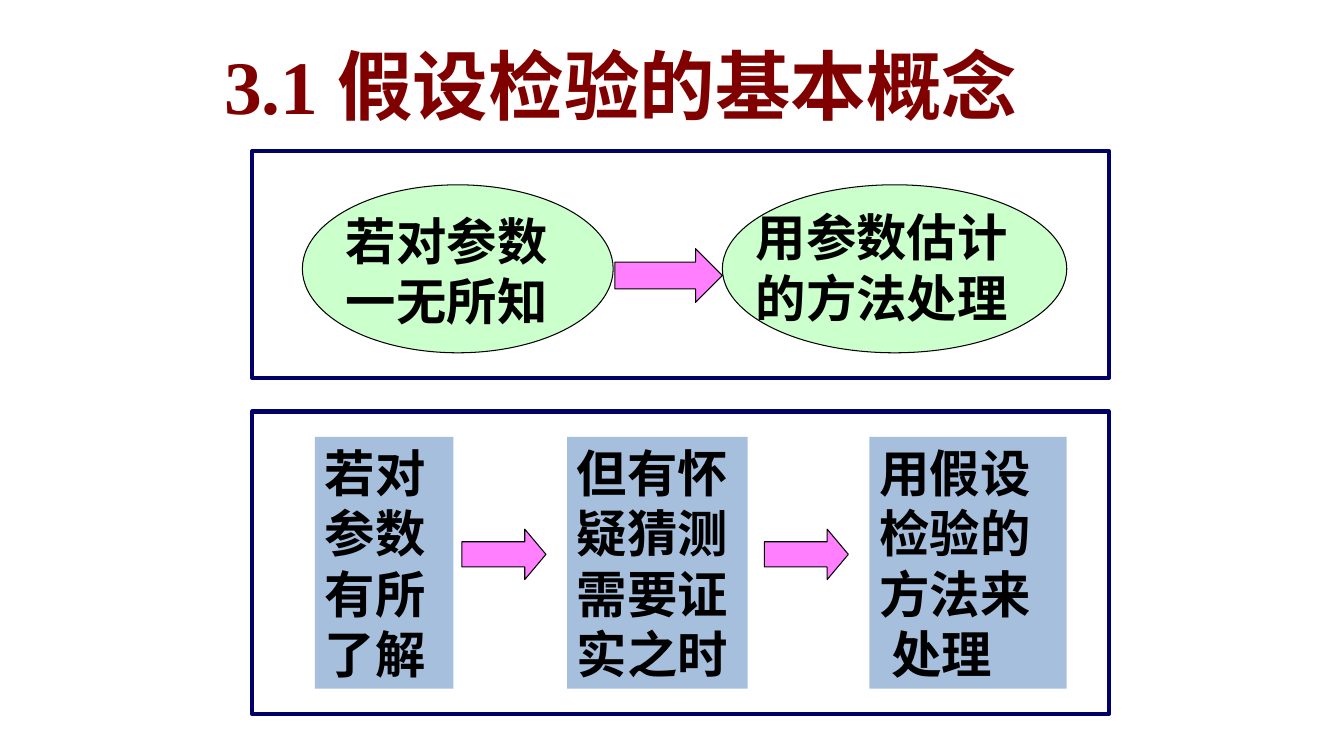
from typing import NamedTuple, Optional

from pptx import Presentation
from pptx import util as u
from pptx.dml.color import RGBColor
from pptx.enum import shapes, text
from pptx.oxml.ns import qn

# Slide size and a grid of 160 columns by 90 rows
WIDTH, HEIGHT = u.Inches(13.34), u.Inches(7.5)
COLUMN, ROW = WIDTH / 160, HEIGHT / 90

CJK_FONT, LATIN_FONT = "Noto Sans CJK SC", "Times New Roman"
BLACK, MAROON, NAVY = "000000", "800000", "000066"
GREEN, BLUE, PINK = "99FF99", "4F81BD", "FF00FF"
KIND = shapes.MSO_SHAPE


class Area(NamedTuple):
    column: float
    row: float
    columns: float
    rows: float

    def emu(self) -> list[int]:
        return [round(self.column * COLUMN), round(self.row * ROW),
                round(self.columns * COLUMN), round(self.rows * ROW)]


class Idea(NamedTuple):
    outline: Area
    words: Area
    lines: list[str]


class Step(NamedTuple):
    area: Area
    lines: list[str]


class Arrow(NamedTuple):
    area: Area
    head: float


def colour(value: str) -> RGBColor:
    return RGBColor.from_string(value)


def draw_shape(slide, kind, area: Area, fill: Optional[str] = None,
               line: Optional[str] = None, line_width: float = 0.75):
    shape = slide.shapes.add_shape(kind, *area.emu())
    shape.shadow.inherit = False
    if fill:
        shape.fill.solid()
        shape.fill.fore_color.rgb = colour(fill)
        # Half transparent
        tint = shape.fill._xPr.find(qn("a:solidFill"))[0]
        tint.append(tint.makeelement(qn("a:alpha"), {"val": "50000"}))
    else:
        shape.fill.background()
    if line:
        shape.line.color.rgb = colour(line)
        shape.line.width = u.Pt(line_width)
    else:
        shape.line.fill.background()
    return shape


def style_run(run, size: float, font: str, value: str) -> None:
    run.font.size = u.Pt(size)
    run.font.bold = True
    run.font.name = font
    run.font.color.rgb = colour(value)
    properties = run.font._element
    east_asian = properties.makeelement(qn("a:ea"), {"typeface": CJK_FONT})
    properties.find(qn("a:latin")).addnext(east_asian)


def prepare_frame(frame) -> None:
    frame.word_wrap = True
    frame.vertical_anchor = text.MSO_ANCHOR.TOP
    frame.margin_left = frame.margin_right = u.Inches(0.1)
    frame.margin_top = frame.margin_bottom = u.Inches(0.05)


def write_lines(frame, lines: list[str], size: float = 36) -> None:
    prepare_frame(frame)
    frame.text = "\n".join(lines)
    for paragraph in frame.paragraphs:
        paragraph.alignment = text.PP_ALIGN.LEFT
        paragraph.line_spacing = u.Pt(size * 1.2)
        for run in paragraph.runs:
            style_run(run, size, CJK_FONT, BLACK)


def draw_title(slide, area: Area, number: str, heading: str, size: float = 54) -> None:
    frame = slide.shapes.add_textbox(*area.emu()).text_frame
    prepare_frame(frame)
    paragraph = frame.paragraphs[0]
    paragraph.line_spacing = u.Pt(size * 1.2)
    for words, font in ((number, LATIN_FONT), (heading, CJK_FONT)):
        run = paragraph.add_run()
        run.text = words
        style_run(run, size, font, MAROON)


def draw_arrow(slide, arrow: Arrow) -> None:
    shape = draw_shape(slide, KIND.RIGHT_ARROW, arrow.area, PINK, BLACK)
    shape.adjustments[0] = 0.5
    shape.adjustments[1] = arrow.head


def draw_idea(slide, idea: Idea) -> None:
    draw_shape(slide, KIND.OVAL, idea.outline, GREEN, BLACK)
    words = slide.shapes.add_textbox(*idea.words.emu())
    write_lines(words.text_frame, idea.lines)


def draw_step(slide, step: Step):
    shape = draw_shape(slide, KIND.RECTANGLE, step.area, BLUE)
    write_lines(shape.text_frame, step.lines)
    return shape


FRAMES = [Area(30, 18, 102, 27), Area(30, 49, 102, 36)]
ARROWS = [Arrow(Area(73.2, 29.6, 12.8, 6.4), 0.5),
          Arrow(Area(55, 63, 10, 6), 0.42),
          Arrow(Area(91, 63, 10, 6), 0.42)]
IDEAS = [
    Idea(Area(36, 22, 37, 20), Area(40, 24.4, 29.8, 15.6), ["若对参数", "一无所知"]),
    Idea(Area(86, 22, 41, 20), Area(88.8, 24, 36, 15.6), ["用参数估计", "的方法处理"]),
]
STEPS = [
    Step(Area(37.5, 52, 16.5, 30), ["若对", "参数", "有所", "了解"]),
    Step(Area(67.5, 52, 21.5, 30), ["但有怀", "疑猜测", "需要证", "实之时"]),
    Step(Area(103.5, 52, 23.5, 30), ["用假设", "检验的", "方法来", "处理"]),
]


def main() -> None:
    deck = Presentation()
    deck.slide_width, deck.slide_height = WIDTH, HEIGHT
    slide = deck.slides.add_slide(deck.slide_layouts[6])

    # Title, with room to spare on its line
    draw_title(slide, Area(25.5, 4, 104, 12), "3.1 ", "假设检验的基本概念")

    # Frames and arrows
    for frame in FRAMES:
        draw_shape(slide, KIND.RECTANGLE, frame, line=NAVY, line_width=3)
    for arrow in ARROWS:
        draw_arrow(slide, arrow)

    # Nothing known: estimation
    for idea in IDEAS:
        draw_idea(slide, idea)

    # Something known: testing, with the last line set in a little
    boxes = [draw_step(slide, step) for step in STEPS]
    ending = boxes[-1].text_frame.paragraphs[-1]
    ending._p.get_or_add_pPr().set("marL", str(u.Inches(0.12)))

    deck.save("out.pptx")


if __name__ == "__main__":
    main()
